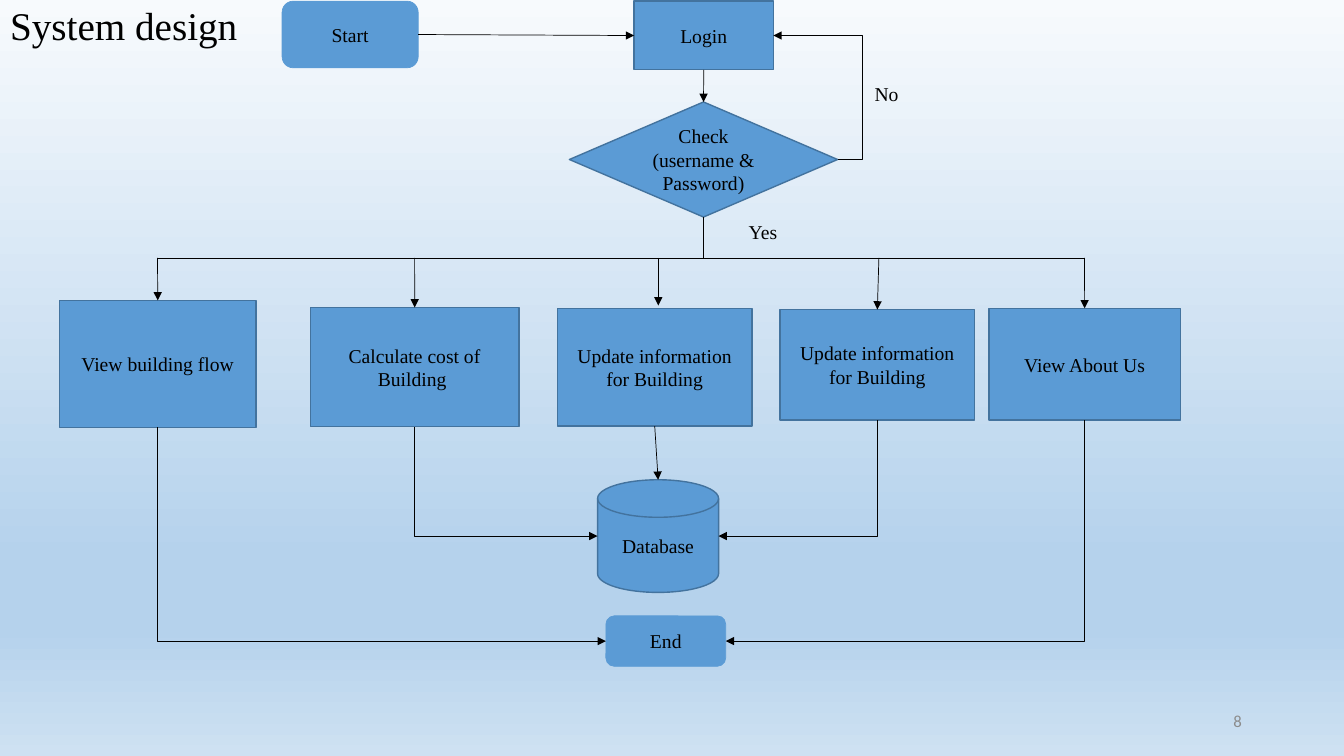
from pptx import Presentation
from pptx.dml.color import RGBColor
from pptx.enum.shapes import MSO_CONNECTOR, MSO_SHAPE
from pptx.enum.text import MSO_ANCHOR, MSO_AUTO_SIZE, PP_ALIGN
from pptx.oxml.ns import qn
from pptx.util import Cm, Pt
from lxml.etree import SubElement

COLORS = {"fill": "5B9BD5", "edge": "43739E", "ink": "000000", "number": "8C8C8C"}
BACKGROUND = [(0, "F7FAFD"), (74, "B5D2EC"), (83, "B5D2EC"), (100, "CEE1F2")]
SERIF = "Times New Roman"
TOP, LEFT, BOTTOM, RIGHT = range(4)
ROUND, RECT = MSO_SHAPE.ROUNDED_RECTANGLE, MSO_SHAPE.RECTANGLE
DECISION, DISK = MSO_SHAPE.FLOWCHART_DECISION, MSO_SHAPE.FLOWCHART_MAGNETIC_DISK

# Flowchart steps: name, shape, (left, top, width, height) in cm, paragraphs
STEPS = [
    ("start", ROUND, (7.11, 0.03, 3.43, 1.68), ["Start"]),
    ("login", RECT, (15.98, 0.03, 3.51, 1.73), ["Login"]),
    ("check", DECISION, (14.35, 2.57, 6.76, 2.9), ["Check", "(username & Password)"]),
    ("flow", RECT, (1.5, 7.57, 4.95, 3.2), ["View building flow"]),
    ("cost", RECT, (7.82, 7.75, 5.26, 3), ["Calculate cost of Building "]),
    ("update", RECT, (14.05, 7.77, 4.9, 2.97), ["Update information for Building"]),
    ("update 2", RECT, (19.66, 7.8, 4.9, 2.79), ["Update information for Building"]),
    ("about", RECT, (24.92, 7.77, 4.83, 2.82), ["View About Us"]),
    ("database", DISK, (15.06, 12.09, 3.05, 2.84), ["Database"]),
    ("end", ROUND, (15.27, 15.52, 3.02, 1.27), ["End"]),
]
BRANCH_LABELS = [("No", (21.79, 1.93, 1.73, 0.86)), ("Yes", (18.62, 5.41, 1.57, 0.86))]

# Straight lines: an end is (step, side) or a point (x, y) in cm; last is the arrowhead
BUS = 6.5
STRAIGHT = [
    (("start", RIGHT), ("login", LEFT), "tailEnd"),
    (("login", BOTTOM), ("check", TOP), "tailEnd"),
    (("check", BOTTOM), (17.73, BUS), None),
    ((3.97, BUS), (27.33, BUS), None),
    ((3.97, BUS), ("flow", TOP), "tailEnd"),
    ((10.45, BUS), ("cost", TOP), "tailEnd"),
    ((16.59, BUS), (16.59, 7.7), "tailEnd"),
    ((22.15, BUS), ("update 2", TOP), "tailEnd"),
    ((27.33, BUS), ("about", TOP), "tailEnd"),
    (("update", BOTTOM), ("database", TOP), "tailEnd"),
]
# One-corner lines run from the target's side, where the arrowhead is, to a step's bottom
CORNERS = [
    (("database", LEFT), ("cost", BOTTOM)),
    (("database", RIGHT), ("update 2", BOTTOM)),
    (("end", LEFT), ("flow", BOTTOM)),
    (("end", RIGHT), ("about", BOTTOM)),
]


def rgb(name):
    return RGBColor.from_string(COLORS[name])


def write(box, lines, size=14, font=SERIF, color="ink", align=PP_ALIGN.LEFT):
    frame = box.text_frame
    frame.word_wrap = True
    for index, line in enumerate(lines):
        para = frame.add_paragraph() if index else frame.paragraphs[0]
        para.alignment = align
        span = para.add_run()
        span.text = line
        span.font.size = Pt(size)
        span.font.name = font
        span.font.color.rgb = rgb(color)
    return frame


def add_label(place, text, **style):
    box = page.shapes.add_textbox(*map(Cm, place))
    return write(box, [text], **style)


def join(connector, end, which):
    """Attach the begin or end of a connector to a step's side."""
    name, side = end
    if name not in steps:
        return
    step = steps[name]
    if which == "begin":
        connector.begin_connect(step, side)
    else:
        connector.end_connect(step, side)
    if step.auto_shape_type == DISK:  # a disk has one more site before its top
        tag = "a:stCxn" if which == "begin" else "a:endCxn"
        connector._element.find(".//" + qn(tag)).set("idx", str(side + 1))


def connect(kind, begin, end, arrow):
    points = [(0, 0) if spot[0] in steps else spot for spot in (begin, end)]
    connector = page.shapes.add_connector(kind, *(Cm(v) for point in points for v in point))
    join(connector, begin, "begin")
    join(connector, end, "end")
    connector.line.color.rgb = rgb("ink")
    connector.line.width = Pt(0.5)
    if arrow:
        SubElement(connector.line._get_or_add_ln(), qn("a:" + arrow), type="triangle")
    SubElement(connector._element.spPr, qn("a:effectLst"))
    return connector._element.spPr.find(qn("a:prstGeom"))


deck = Presentation()
deck.slide_width, deck.slide_height = Cm(33.87), Cm(19.05)
page = deck.slides.add_slide(deck.slide_layouts[5])

# Background gradient
backdrop = page.background.fill
backdrop.gradient()
backdrop.gradient_angle = 270
stops = page._element.find(".//" + qn("a:gsLst"))
for old in list(stops):
    stops.remove(old)
for percent, shade in BACKGROUND:
    stop = SubElement(stops, qn("a:gs"), pos=str(percent * 1000))
    SubElement(stop, qn("a:srgbClr"), val=shade)

# Title
title = page.shapes.title
title.left, title.top, title.width, title.height = map(Cm, (0, -0.1, 6.43, 1.45))
frame = write(title, ["System design"], size=28)
frame.vertical_anchor = MSO_ANCHOR.MIDDLE
frame.auto_size = MSO_AUTO_SIZE.NONE

# Steps
steps = {}
for name, kind, place, lines in STEPS:
    step = page.shapes.add_shape(kind, *map(Cm, place))
    step.shadow.inherit = False
    step.fill.solid()
    step.fill.fore_color.rgb = rgb("fill")
    step.line.color.rgb = rgb("fill" if kind == ROUND else "edge")
    step.line.width = Pt(0.5 if kind == ROUND else 1)
    write(step, lines, align=PP_ALIGN.CENTER).vertical_anchor = MSO_ANCHOR.MIDDLE
    steps[name] = step

# Lines and arrows
for begin, end, arrow in STRAIGHT:
    connect(MSO_CONNECTOR.STRAIGHT, begin, end, arrow)
for begin, end in CORNERS:
    connect(MSO_CONNECTOR.ELBOW, begin, end, "headEnd").set("prst", "bentConnector2")

# Failed login goes back, bending outside the decision
retry = connect(MSO_CONNECTOR.ELBOW, ("check", RIGHT), ("login", RIGHT), "tailEnd")
guides = retry.find(qn("a:avLst"))
if guides is None:
    guides = SubElement(retry, qn("a:avLst"))
SubElement(guides, qn("a:gd"), name="adj1", fmla="val -39000")

# Branch labels and page number
for text, place in BRANCH_LABELS:
    add_label(place, text)
number = add_label((23.93, 17.65, 7.62, 1.02), "8", size=12, font="Calibri",
                   color="number", align=PP_ALIGN.RIGHT)
number.vertical_anchor = MSO_ANCHOR.MIDDLE

deck.save("out.pptx")
